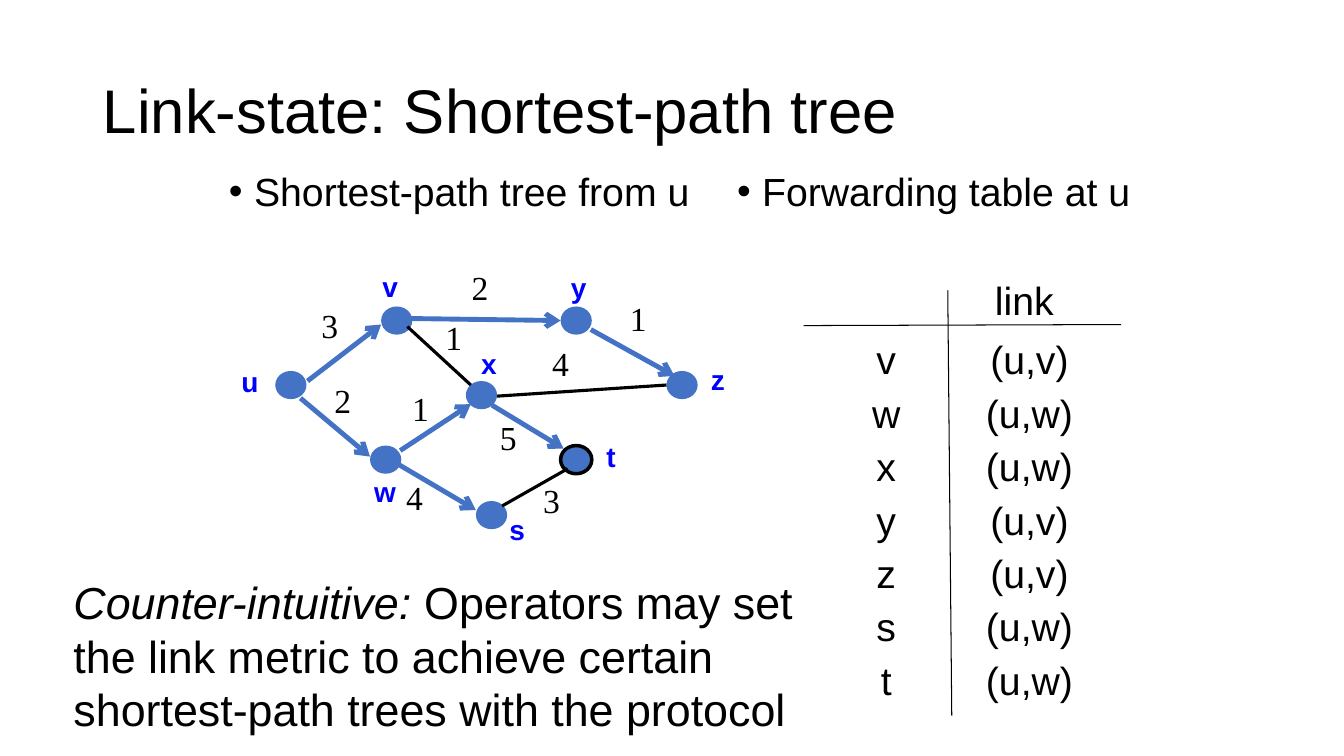
from lxml import etree
from pptx import Presentation
from pptx.dml.color import RGBColor
from pptx.enum.shapes import MSO_CONNECTOR, MSO_SHAPE
from pptx.enum.text import MSO_ANCHOR, MSO_AUTO_SIZE, PP_ALIGN
from pptx.oxml.ns import qn
from pptx.util import Inches, Pt

STRAIGHT = MSO_CONNECTOR.STRAIGHT
OVAL = MSO_SHAPE.OVAL
MIDDLE, TOP = MSO_ANCHOR.MIDDLE, MSO_ANCHOR.TOP
LEFT, CENTER = PP_ALIGN.LEFT, PP_ALIGN.CENTER
NO_FIT = MSO_AUTO_SIZE.NONE

BLACK = RGBColor(0x00, 0x00, 0x00)
BLUE = RGBColor(0x44, 0x72, 0xC4)
LABEL_BLUE = RGBColor(0x00, 0x00, 0xFF)

THEME = {
    "title": {"name": "Arial", "size": Pt(44), "color": BLACK},
    "body": {"name": "Arial", "size": Pt(28), "color": BLACK},
    "note": {"name": "Arial", "size": Pt(32), "color": BLACK},
    "node": {"name": "Arial", "size": Pt(20), "color": LABEL_BLUE, "bold": True},
    "weight": {"name": "Times New Roman", "size": Pt(24), "color": BLACK},
    "tree": {"color": BLUE, "width": Pt(3.5)},
    "link": {"color": BLACK, "width": Pt(2.25)},
    "rule": {"color": BLACK, "width": Pt(0.75)},
}


def add_text(frame, text, style, align=LEFT, **extra):
    """Append a formatted run to the first paragraph of a text frame."""
    paragraph = frame.paragraphs[0]
    paragraph.alignment = align
    run = paragraph.add_run()
    run.text = text
    for name, value in {**THEME[style], **extra}.items():
        if name == "color":
            run.font.color.rgb = value
        else:
            setattr(run.font, name, value)
    return paragraph


def add_line(start, end, style):
    """Draw a straight line; tree edges end in an arrowhead."""
    connector = slide.shapes.add_connector(
        STRAIGHT, *(Inches(value) for value in (*start, *end)))
    connector.line.color.rgb = THEME[style]["color"]
    connector.line.width = THEME[style]["width"]
    properties = connector._element.spPr
    if style == "tree":
        etree.SubElement(properties.find(qn("a:ln")), qn("a:tailEnd"), type="arrow")
    etree.SubElement(properties, qn("a:effectLst"))


presentation = Presentation()
presentation.slide_width = Inches(13.33)
presentation.slide_height = Inches(7.5)
slide = presentation.slides.add_slide(presentation.slide_layouts[3])

# Title and the two bulleted headings
headings = [
    (0, "Link-state: Shortest-path tree", "title", (0.92, 0.4, 11.5, 1.45), MIDDLE),
    (1, "Shortest-path tree from u", "body", (2.17, 1.66, 5.09, 6), TOP),
    (2, "Forwarding table at u", "body", (7.21, 1.66, 4.2, 6), TOP),
]
for index, text, style, box, anchor in headings:
    placeholder = slide.placeholders[index]
    for name, value in zip(("left", "top", "width", "height"), box):
        setattr(placeholder, name, Inches(value))
    frame = placeholder.text_frame
    frame.auto_size = NO_FIT
    frame.vertical_anchor = anchor
    paragraph = add_text(frame, text, style)
    paragraph.line_spacing = 0.9
    paragraph.space_before = Pt(0)
    if style == "body":
        properties = paragraph._p.get_or_add_pPr()
        properties.set("marL", str(Inches(0.25)))
        properties.set("indent", str(Inches(-0.25)))
        etree.SubElement(properties, qn("a:buChar"), char="•")

# Network nodes: name, top left of the dot, top centre of the label
nodes = [
    ("u", (2.73, 3.68), (2.48, 3.57)),
    ("w", (3.67, 4.42), (3.82, 4.66)),
    ("v", (3.78, 3.04), (3.87, 2.62)),
    ("x", (4.62, 3.78), (4.85, 3.39)),
    ("t", (5.56, 4.42), (6.06, 4.31)),
    ("y", (5.56, 3.04), (5.74, 2.63)),
    ("s", (4.72, 4.97), (5.13, 5.04)),
    ("z", (6.61, 3.68), (7.12, 3.55)),
]
for name, (left, top), label in nodes:
    dot = slide.shapes.add_shape(
        OVAL, Inches(left), Inches(top), Inches(0.31), Inches(0.28))
    dot.shadow.inherit = False
    dot.fill.solid()
    dot.fill.fore_color.rgb = BLUE
    if name == "t":
        dot.line.color.rgb = BLACK
        dot.line.width = Pt(2.5)
    else:
        dot.line.fill.background()

# Network edges: ends, kind, weight, top centre of the weight
edges = [
    ((3.05, 3.78), (3.78, 3.22), "tree", "3", (3.27, 2.98)),
    ((2.98, 3.95), (3.67, 4.53), "tree", "2", (3.4, 3.72)),
    ((4.04, 3.24), (4.67, 3.82), "link", "1", (4.5, 3.09)),
    ((3.94, 4.6), (4.72, 5.06), "tree", "4", (4.11, 4.68)),
    ((3.97, 4.47), (4.67, 4.01), "tree", "1", (4.17, 3.8)),
    ((4.88, 4.02), (5.59, 4.45), "tree", "5", (5.04, 4.09)),
    ((4.98, 5.02), (5.63, 4.65), "link", "3", (5.47, 4.71)),
    ((4.93, 3.93), (6.61, 3.82), "link", "4", (5.56, 3.35)),
    ((4.06, 3.16), (5.56, 3.18), "tree", "2", (4.76, 2.6)),
    ((5.86, 3.27), (6.69, 3.73), "tree", "1", (6.33, 2.91)),
]
for start, end, kind, weight, label in edges:
    add_line(start, end, kind)

# Rules of the forwarding table
add_line((9.4, 2.88), (9.44, 7.1), "rule")
add_line((7.97, 3.23), (11.12, 3.22), "rule")

# Edge weights, node names and table entries, each centred on its point
labels = [(weight, "weight", point, 0.37, 0.5) for *_, weight, point in edges]
labels += [(name, "node", point, 0.43, 0.43) for name, _, point in nodes]
labels.append(("link", "body", (10.16, 2.69), 0.8, 0.57))
forwarding = {"v": "v", "w": "w", "x": "w", "y": "v", "z": "v", "s": "w", "t": "w"}
for row, (destination, next_hop) in enumerate(forwarding.items()):
    top = 3.28 + row * 0.53
    labels.append((destination, "body", (8.79, top), 0.49, 0.57))
    labels.append((f"(u,{next_hop})", "body", (10.21, top), 1.08, 0.57))
for text, style, (center, top), width, height in labels:
    box = slide.shapes.add_textbox(
        Inches(center - width / 2), Inches(top), Inches(width), Inches(height))
    box.text_frame.word_wrap = False
    add_text(box.text_frame, text, style, CENTER)

# Closing remark
remark = slide.shapes.add_textbox(
    Inches(0.63), Inches(5.65), Inches(7.48), Inches(1.72)).text_frame
remark.word_wrap = True
add_text(remark, "Counter-intuitive:", "note", italic=True)
add_text(remark, " Operators may set the link metric to achieve certain "
         "shortest-path trees with the protocol", "note")

presentation.save("out.pptx")
